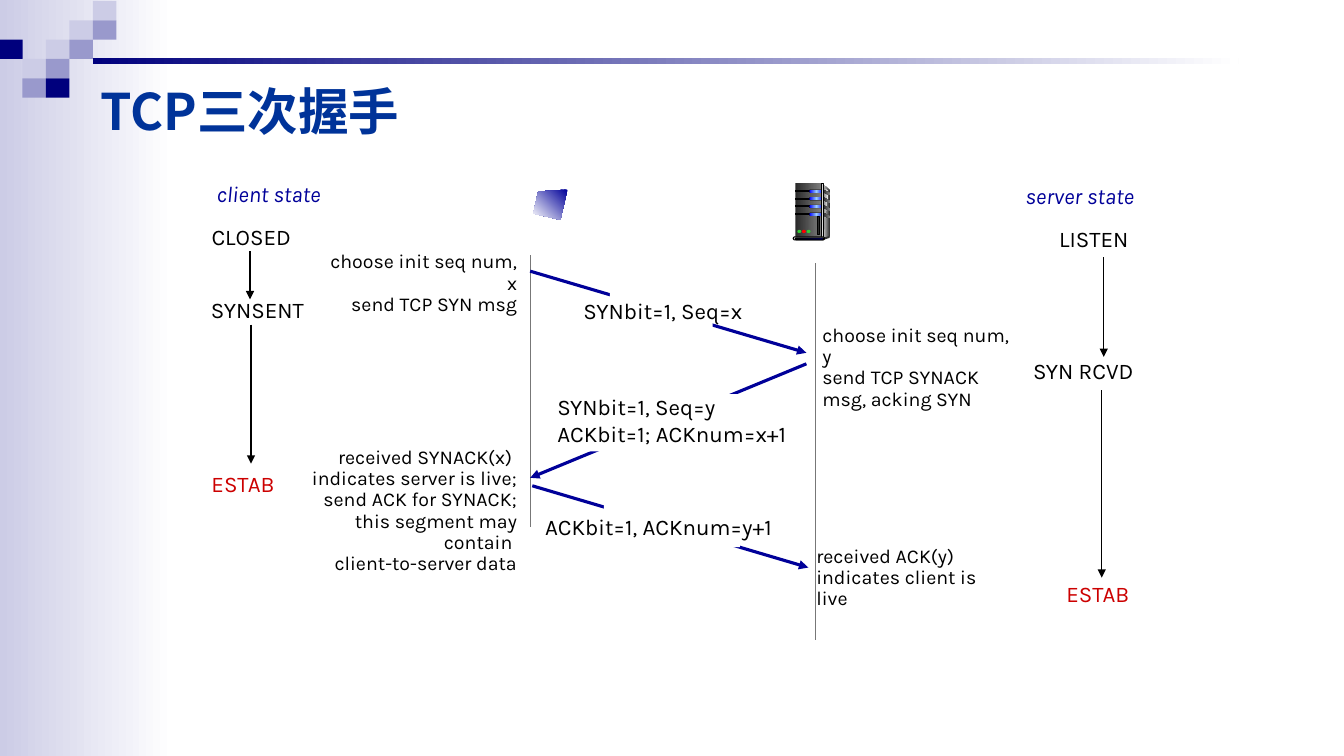
"""Build the slide on the TCP three-way handshake."""
import copy
from dataclasses import dataclass

import pptx
import pptx.dml.color
import pptx.enum.shapes
import pptx.enum.text
import pptx.oxml.ns
import pptx.oxml.xmlchemy
import pptx.shapes.autoshape
import pptx.slide
import pptx.util

Pt = pptx.util.Pt
RGBColor = pptx.dml.color.RGBColor
qn = pptx.oxml.ns.qn
Shape = pptx.shapes.autoshape.Shape
Slide = pptx.slide.Slide
Preset = pptx.enum.shapes.MSO_SHAPE
Align = pptx.enum.text.PP_ALIGN
Anchor = pptx.enum.text.MSO_ANCHOR

WHITE = RGBColor(0xFF, 0xFF, 0xFF)
BLACK = RGBColor(0, 0, 0)
NAVY = RGBColor(0, 0, 0x7D)
LILAC = RGBColor(0x99, 0x99, 0xCC)
PALE_LILAC = RGBColor(0xCC, 0xCC, 0xE6)
TITLE_BLUE = RGBColor(0, 0x33, 0x99)
MESSAGE_BLUE = RGBColor(0, 0, 0x99)
STATE_RED = RGBColor(0xCC, 0, 0)
TIMELINE_GREY = RGBColor(0x77, 0x77, 0x77)
COAL = RGBColor(0x29, 0x29, 0x29)
DARK_GREY = RGBColor(0x33, 0x33, 0x33)
MID_GREY = RGBColor(0x80, 0x80, 0x80)
LIGHT_GREY = RGBColor(0xDD, 0xDD, 0xDD)
NEAR_WHITE = RGBColor(0xF8, 0xF8, 0xF8)
LED_BLUE = RGBColor(0, 0, 0xFF)
LED_SKY = RGBColor(0x99, 0xCC, 0xFF)
LED_GREEN = RGBColor(0x33, 0xCC, 0x33)
LED_RED = RGBColor(0xFF, 0, 0)

Point = tuple[float, float]
Box = tuple[float, float, float, float]


@dataclass
class Label:
    text: str
    box: Box
    color: RGBColor = BLACK
    size: float = 16
    align: Align = Align.LEFT
    italic: bool = False
    line_spacing: float = 1.0


@dataclass
class Line:
    start: Point
    end: Point
    color: RGBColor = BLACK
    width: float = 0.75
    arrow: bool = True


@dataclass
class Message:
    start: Point
    end: Point
    gap: Box
    label: Label
    notes: list[Label]


def note(text: str, box: Box, align: Align = Align.LEFT) -> Label:
    return Label(text, box, size=14, align=align, line_spacing=0.9)


def paint(shape: Shape, colors: list[RGBColor], angle: float = 0, outlined: bool = False) -> None:
    shape.shadow.inherit = False
    if len(colors) == 1:
        shape.fill.solid()
        shape.fill.fore_color.rgb = colors[0]
    else:
        shape.fill.gradient()
        shape.fill.gradient_angle = angle
        stop_list = shape.element.spPr.find(".//" + qn("a:gsLst"))
        while len(stop_list) < len(colors):
            stop_list.append(copy.deepcopy(stop_list[0]))
        for index, stop in enumerate(shape.fill.gradient_stops):
            stop.position = index / (len(colors) - 1)
            stop.color.rgb = colors[index]
    if outlined:
        shape.line.color.rgb = BLACK
        shape.line.width = Pt(0.75)
    else:
        shape.line.fill.background()


def add_block(slide: Slide, box: Box, *colors: RGBColor, preset: Preset = Preset.RECTANGLE,
              outlined: bool = False) -> None:
    shape = slide.shapes.add_shape(preset, *map(Pt, box))
    if preset == Preset.ROUNDED_RECTANGLE:
        shape.adjustments[0] = 0.5
    paint(shape, list(colors), outlined=outlined)


def add_outline(slide: Slide, points: list[Point], *colors: RGBColor, angle: float = 0) -> None:
    corners = [(Pt(x), Pt(y)) for x, y in points]
    builder = slide.shapes.build_freeform(*corners[0])
    builder.add_line_segments(corners[1:], close=True)
    paint(builder.convert_to_shape(), list(colors), angle)


def add_line(slide: Slide, line: Line) -> None:
    connector = slide.shapes.add_connector(
        pptx.enum.shapes.MSO_CONNECTOR.STRAIGHT, *map(Pt, line.start + line.end))
    connector.line.color.rgb = line.color
    connector.line.width = Pt(line.width)
    properties = connector.element.spPr
    if line.arrow:
        head = properties.find(qn("a:ln")).makeelement(qn("a:tailEnd"), {"type": "triangle"})
        properties.find(qn("a:ln")).append(head)
    properties.append(properties.makeelement(qn("a:effectLst"), {}))


def add_label(slide: Slide, label: Label) -> None:
    frame = slide.shapes.add_textbox(*map(Pt, label.box)).text_frame
    frame.word_wrap = True
    frame.text = label.text
    for paragraph in frame.paragraphs:
        paragraph.alignment = label.align
        paragraph.line_spacing = label.line_spacing
        for run in paragraph.runs:
            run.font.name = "Karla"
            run.font.size = Pt(label.size)
            run.font.italic = label.italic
            run.font.color.rgb = label.color


def add_message(slide: Slide, message: Message) -> None:
    add_line(slide, Line(message.start, message.end, MESSAGE_BLUE, 2.25))
    add_block(slide, message.gap, WHITE)
    for label in [message.label, *message.notes]:
        add_label(slide, label)


def add_decoration(slide: Slide) -> None:
    add_block(slide, (0, 0, 124.6, 540), PALE_LILAC, WHITE)
    squares = [(4, 0, PALE_LILAC), (3, 1, PALE_LILAC), (4, 1, LILAC), (0, 2, NAVY),
               (2, 2, PALE_LILAC), (3, 2, LILAC), (1, 3, PALE_LILAC), (2, 3, LILAC),
               (1, 4, LILAC), (2, 4, NAVY)]
    for column, row, color in squares:
        add_block(slide, (-0.7 + 16.75 * column, 0.7 + 13.8 * row, 16.9, 13.8), color)
    add_block(slide, (66.2, 41.8, 818.6, 4.3), NAVY, WHITE)


def add_title(slide: Slide) -> None:
    title = slide.shapes.title
    title.left, title.top, title.width, title.height = map(Pt, (64.8, 45.4, 421.9, 67))
    title.text_frame.text = "TCP三次握手"
    title.text_frame.vertical_anchor = Anchor.MIDDLE
    paragraph = title.text_frame.paragraphs[0]
    paragraph.alignment = Align.LEFT
    font = paragraph.runs[0].font
    font.name, font.size, font.bold = "Noto Sans CJK SC", Pt(36), True
    font.color.rgb = TITLE_BLUE
    properties = paragraph.runs[0].font._element
    properties.append(properties.makeelement(qn("a:ea"), {"typeface": "Noto Sans CJK SC"}))
    title.element.getparent().append(title.element)


def add_server(slide: Slide) -> None:
    rounded, oval = Preset.ROUNDED_RECTANGLE, Preset.OVAL
    add_outline(slide, [(588.2, 131.8), (592.6, 136.1), (592.6, 168.5), (587.5, 169.9)],
                LIGHT_GREY, DARK_GREY)
    add_block(slide, (568.1, 131, 19.4, 38.2), COAL, MID_GREY)
    add_outline(slide, [(588.2, 133.9), (591.8, 136.8), (589, 158), (588.2, 169.2)],
                MID_GREY, NEAR_WHITE)
    for bay in range(4):
        top = 135.4 + 5.5 * bay
        add_block(slide, (568.1, top + 0.6, 10.8, 0.7), BLACK, outlined=True)
        add_block(slide, (577.8, top, 10.8, 2.2), BLACK, preset=rounded)
        add_block(slide, (578.2, top + 0.1, 10.1, 2), LED_BLUE, LED_SKY, LED_BLUE, preset=rounded)
        add_outline(slide, [(588.2, top), (592.6, top + 2.5), (592.6, top + 4), (588, top + 2)],
                    COAL, MID_GREY)
    add_block(slide, (586.8, 131, 1.4, 38.9), DARK_GREY, LIGHT_GREY, DARK_GREY, outlined=True)
    add_outline(slide, [(588.2, 169.9), (588.2, 171.4), (592.6, 169.9), (592.6, 168.5)], DARK_GREY)
    add_block(slide, (566.6, 169.2, 22.3, 2.2), LIGHT_GREY, preset=rounded, outlined=True)
    add_block(slide, (568.1, 169.9, 20.2, 1.4), BLACK, NAVY, preset=rounded, outlined=True)
    for index, color in enumerate([LED_GREEN, LED_RED, LED_GREEN]):
        add_block(slide, (569.5 + 3.3 * index, 164.2, 2.9, 2.2), color, preset=oval)
    add_block(slide, (583.9, 154.8, 1.4, 13), COAL, outlined=True)


TIMELINES = [Line((378.7, 182.2), (378.7, 376.6), TIMELINE_GREY, arrow=False),
             Line((582.5, 187.9), (582.5, 457.2), TIMELINE_GREY, arrow=False)]
MESSAGES = [
    Message((378.7, 193.7), (576, 252), (435.6, 201.6, 73.4, 33.8),
            Label("SYNbit=1, Seq=x", (409.7, 208.8, 136.8, 26.6)),
            [note("choose init seq num, x\nsend TCP SYN msg", (222.5, 176.4, 154.1, 37.4), Align.RIGHT)]),
    Message((576, 259.9), (378.7, 341.3), (418.3, 281.5, 112.3, 41),
            Label("SYNbit=1, Seq=y\nACKbit=1; ACKnum=x+1", (391, 277.2, 191.5, 46.1)),
            [note("choose init seq num, y\nsend TCP SYNACK\nmsg, acking SYN", (580.3, 229, 154.1, 52.6))]),
    Message((380.2, 347), (577.4, 405.4), (431.3, 357.1, 97.2, 33.8),
            Label("ACKbit=1, ACKnum=y+1", (382.3, 362.9, 190.8, 26.6)),
            [note("received SYNACK(x) \nindicates server is live;\nsend ACK for SYNACK;\n"
                  "this segment may contain \nclient-to-server data",
                  (198.7, 316.1, 177.8, 82.8), Align.RIGHT),
             note("received ACK(y)\nindicates client is live", (576, 386.6, 144.7, 37.4))]),
]
STATES = [
    Label("client state", (144.7, 125.3, 91.4, 46.1), MESSAGE_BLUE, align=Align.RIGHT, italic=True),
    Label("CLOSED", (144, 155.5, 72.7, 26.6)),
    Label("SYNSENT", (143.6, 208.1, 82, 26.6)),
    Label("ESTAB", (144, 332.6, 60.5, 26.6), STATE_RED),
    Label("server state", (720, 126.7, 97.2, 46.1), MESSAGE_BLUE, align=Align.RIGHT, italic=True),
    Label("LISTEN", (749.5, 157, 66.2, 26.6)),
    Label("SYN RCVD", (730.8, 251.3, 87.8, 26.6)),
    Label("ESTAB", (754.6, 411.1, 60.5, 26.6), STATE_RED),
]
TRANSITIONS = [Line((178.6, 179.3), (178.6, 213.8)), Line((179.3, 231.8), (179.3, 331.2)),
               Line((788.4, 183.6), (788.4, 254.9)), Line((787, 278.6), (787, 412.6))]


def main() -> None:
    presentation = pptx.Presentation()
    presentation.slide_width, presentation.slide_height = Pt(960), Pt(540)
    slide = presentation.slides.add_slide(presentation.slide_layouts[5])
    add_decoration(slide)
    add_title(slide)
    for line in TIMELINES + TRANSITIONS:
        add_line(slide, line)
    for message in MESSAGES:
        add_message(slide, message)
    for state in STATES:
        add_label(slide, state)
    add_outline(slide, [(405.4, 135.4), (384.5, 136.8), (380.9, 152.6), (400.3, 157)],
                MESSAGE_BLUE, WHITE, angle=225)
    add_server(slide)
    presentation.save("out.pptx")


if __name__ == "__main__":
    main()
